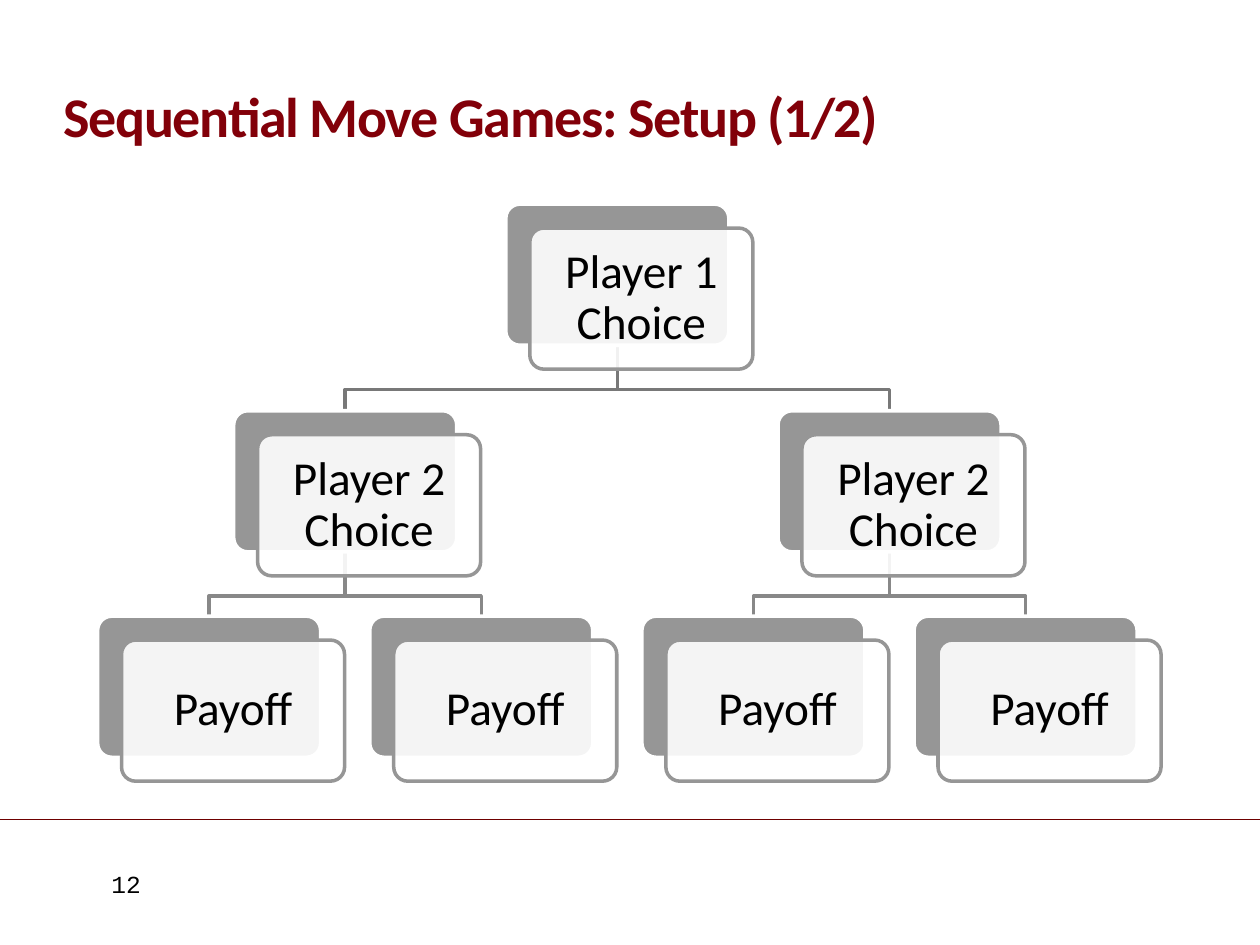
from lxml import etree
from pptx import Presentation
from pptx import util as u
from pptx.dml.color import RGBColor
from pptx.enum import shapes, text
from pptx.oxml.ns import qn

COLORS = {
    "title": "820009",
    "rule": "6E0000",
    "text": "000000",
    "box": "969696",
    "white": "FFFFFF",
    "upper_branch": "787878",
    "lower_branch": "888888",
}

# Tree geometry in inches
BOX_WIDTH, BOX_HEIGHT = 1.77, 1.12
CARD_OFFSET = 0.19
TEXT_MARGIN = 0.035
LEVEL_TOPS = [1.62, 3.26, 4.89]
LEVEL_LABELS = ["Player 1 Choice", "Player 2 Choice", "Payoff"]
BRANCH_COLORS = ["upper_branch", "lower_branch"]
TREE_CENTER, LEAF_GAP = 4.9, 2.16
ELBOW_DROP = 0.35


def color(name):
    return RGBColor.from_string(COLORS[name])


def node_centers(level):
    """Return the centres of the nodes on one level of the binary tree."""
    count = 2 ** level
    gap = LEAF_GAP * 2 ** (len(LEVEL_TOPS) - 1 - level)
    return [TREE_CENTER + (i - (count - 1) / 2) * gap for i in range(count)]


def add_run(paragraph, content, size, font, color_name, bold=False):
    run = paragraph.add_run()
    run.text = content
    run.font.size = u.Pt(size)
    run.font.name = font
    run.font.bold = bold
    run.font.color.rgb = color(color_name)
    return run


def set_margins(frame, inches):
    margin = u.Inches(inches)
    frame.margin_left = frame.margin_right = margin
    frame.margin_top = frame.margin_bottom = margin


def add_title(slide, content):
    title = slide.shapes.title
    title.left, title.top = u.Inches(0.5), u.Inches(0.18)
    title.width, title.height = u.Inches(9), u.Inches(1.01)
    frame = title.text_frame
    frame.word_wrap = True
    frame.auto_size = text.MSO_AUTO_SIZE.NONE
    frame.vertical_anchor = text.MSO_ANCHOR.BOTTOM
    set_margins(frame, 0)
    paragraph = frame.paragraphs[0]
    paragraph.alignment = text.PP_ALIGN.LEFT
    paragraph.line_spacing = 0.9
    run = add_run(paragraph, content, 32, "Calibri", "title", bold=True)
    run.font._element.set("spc", "-70")


def add_text(slide, box, content, size, font, margin=None):
    text_box = slide.shapes.add_textbox(*map(u.Inches, box))
    frame = text_box.text_frame
    frame.word_wrap = True
    if margin is not None:
        set_margins(frame, margin)
        frame.vertical_anchor = text.MSO_ANCHOR.MIDDLE
    paragraph = frame.paragraphs[0]
    paragraph.alignment = text.PP_ALIGN.CENTER
    add_run(paragraph, content, size, font, "text")
    return paragraph


def add_rule(slide):
    rule = slide.shapes.add_connector(
        shapes.MSO_CONNECTOR.STRAIGHT,
        u.Inches(0), u.Inches(6.5), u.Inches(10), u.Inches(6.5))
    rule.line.color.rgb = color("rule")
    rule.line.width = u.Pt(0.25)
    etree.SubElement(rule._element.spPr, qn("a:effectLst"))


def add_branch(slide, parent_x, child_x, level):
    """Draw the elbow from a node down to one of its children."""
    start_y = LEVEL_TOPS[level] + BOX_HEIGHT
    elbow_y = start_y + ELBOW_DROP
    points = [(parent_x, elbow_y), (child_x, elbow_y),
              (child_x, LEVEL_TOPS[level + 1])]
    builder = slide.shapes.build_freeform(u.Inches(parent_x), u.Inches(start_y))
    builder.add_line_segments(
        [(u.Inches(x), u.Inches(y)) for x, y in points], close=False)
    branch = builder.convert_to_shape()
    branch.shadow.inherit = False
    branch.fill.background()
    branch.line.color.rgb = color(BRANCH_COLORS[level])
    branch.line.width = u.Pt(2)


def add_box(slide, left, top, fill, line):
    box = slide.shapes.add_shape(
        shapes.MSO_SHAPE.ROUNDED_RECTANGLE, u.Inches(left), u.Inches(top),
        u.Inches(BOX_WIDTH), u.Inches(BOX_HEIGHT))
    box.adjustments[0] = 0.1
    box.shadow.inherit = False
    box.fill.solid()
    box.fill.fore_color.rgb = color(fill)
    box.line.color.rgb = color(line)
    box.line.width = u.Pt(2)
    return box


def add_node(slide, center, top, label):
    left = center - BOX_WIDTH / 2
    add_box(slide, left, top, "box", "white")

    # Translucent card in front
    card_left, card_top = left + CARD_OFFSET, top + CARD_OFFSET
    card = add_box(slide, card_left, card_top, "white", "box")
    fill_color = card._element.spPr.find(qn("a:solidFill"))[0]
    etree.SubElement(fill_color, qn("a:alpha"), val="90000")

    label_box = (card_left + TEXT_MARGIN, card_top + TEXT_MARGIN,
                 BOX_WIDTH - 2 * TEXT_MARGIN, BOX_HEIGHT - 2 * TEXT_MARGIN)
    paragraph = add_text(slide, label_box, label, 27, "Calibri", margin=0.11)
    paragraph.line_spacing = 0.9


def add_tree(slide):
    # Branches lie behind the nodes
    for level in range(len(LEVEL_TOPS) - 1):
        parents = node_centers(level)
        for i, child_x in enumerate(node_centers(level + 1)):
            add_branch(slide, parents[i // 2], child_x, level)

    for level, (top, label) in enumerate(zip(LEVEL_TOPS, LEVEL_LABELS)):
        for center in node_centers(level):
            add_node(slide, center, top, label)


def main():
    presentation = Presentation()
    presentation.slide_width = u.Inches(10)
    presentation.slide_height = u.Inches(7.5)
    slide = presentation.slides.add_slide(presentation.slide_layouts[5])

    # Footer rule and page number
    add_rule(slide)
    add_text(slide, (0.49, 6.85, 1.02, 0.34), "12", 14, "Courier New")

    # Title and game tree
    add_title(slide, "Sequential Move Games: Setup (1/2)")
    add_tree(slide)

    presentation.save("out.pptx")


if __name__ == "__main__":
    main()
